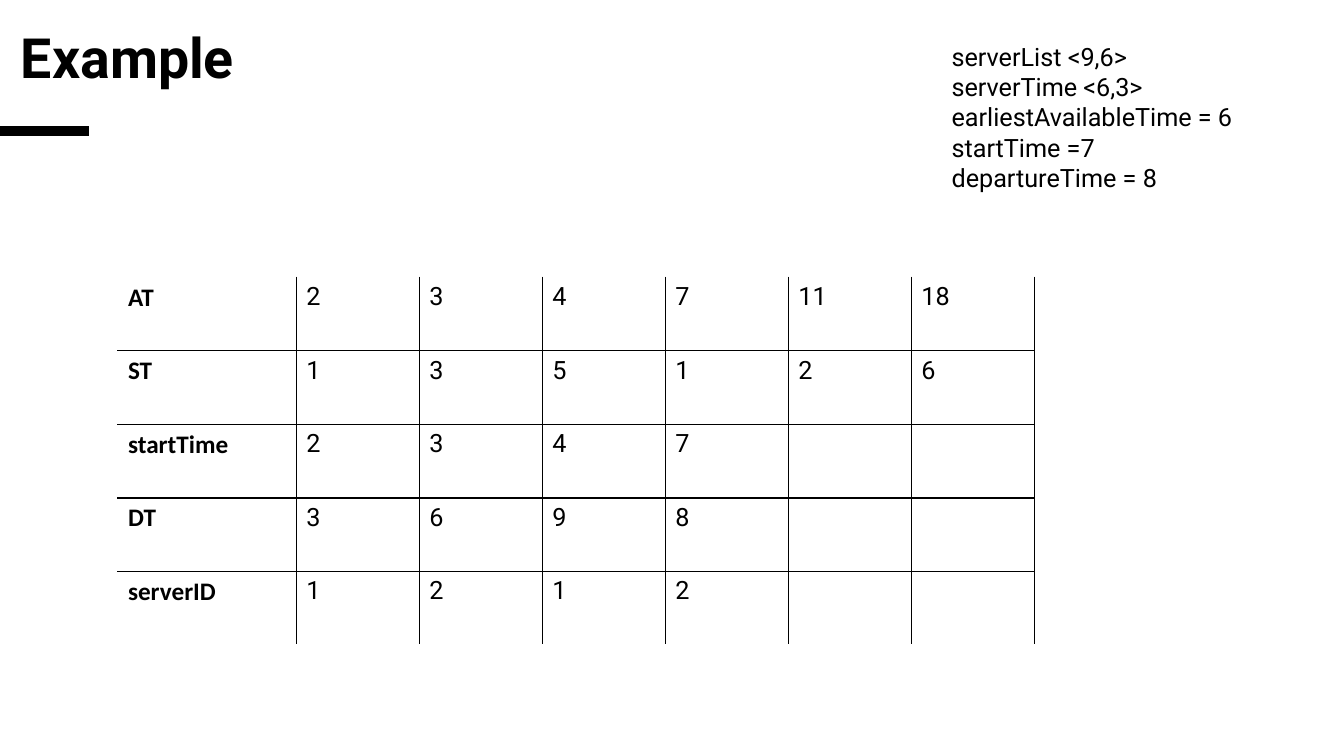
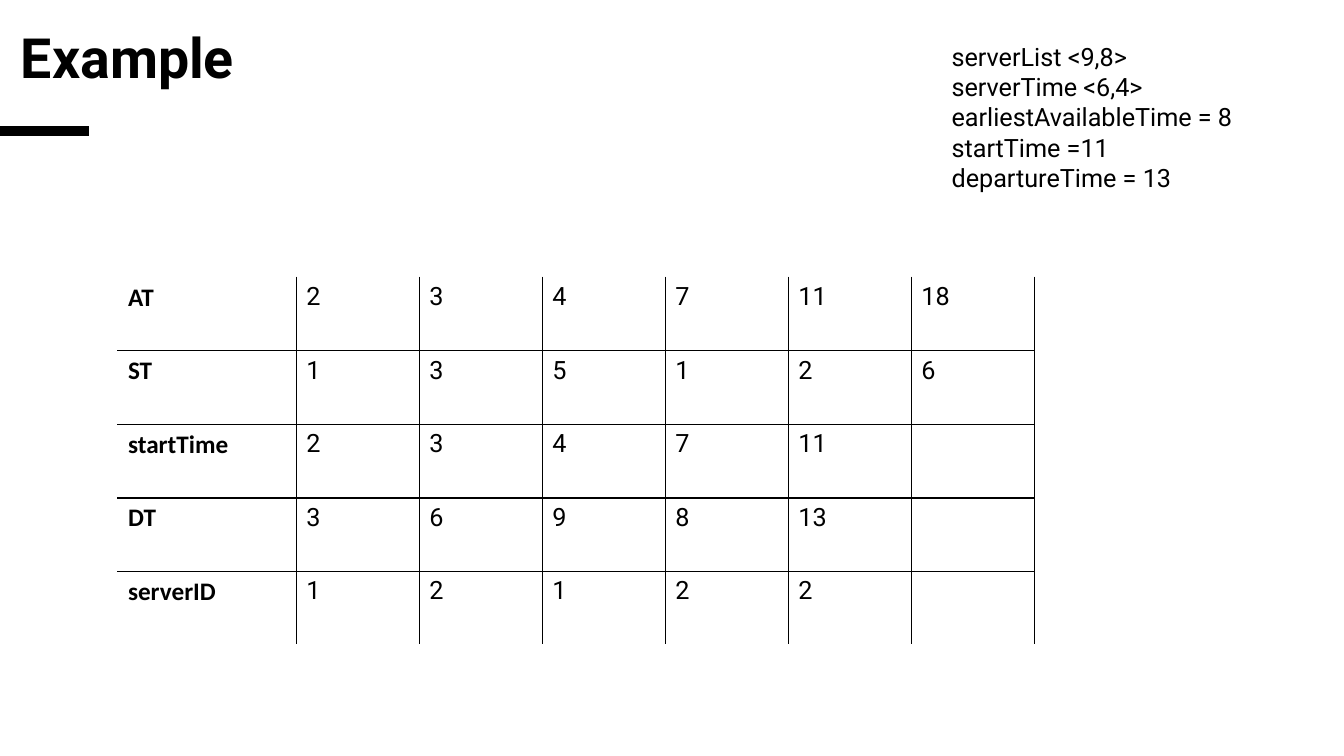
from dataclasses import dataclass

from lxml.etree import SubElement
from pptx import Presentation
from pptx.dml.color import RGBColor
from pptx.enum.shapes import MSO_CONNECTOR
from pptx.enum.text import MSO_ANCHOR, MSO_AUTO_SIZE
from pptx.oxml.ns import qn
from pptx.util import Inches, Pt

COLORS = {"ink": "000000", "paper": "FFFFFF"}
BODY_FONT = "Roboto"
LABEL_FONT = "Calibri"
BODY_SIZE = 18
TITLE_SIZE = 39.6

LABEL_WIDTH = 1.77
VALUE_WIDTH = 1.22
ROW_HEIGHT = 0.73
CUSTOMERS = 6


@dataclass(frozen=True)
class Step:
    state: tuple[str, ...]
    start_times: tuple[int, ...]
    departures: tuple[int, ...]
    server_ids: tuple[int, ...]


ARRIVALS = (2, 3, 4, 7, 11, 18)
SERVICE_TIMES = (1, 3, 5, 1, 2, 6)

STEPS = (
    Step(
        ("serverList <9,6>", "serverTime <6,3>", "earliestAvailableTime = 6",
         "startTime =7", "departureTime = 8"),
        (2, 3, 4, 7), (3, 6, 9, 8), (1, 2, 1, 2),
    ),
    Step(
        ("serverList <9,8>", "serverTime <6,4>", "earliestAvailableTime = 8",
         "startTime =11", "departureTime = 13"),
        (2, 3, 4, 7, 11), (3, 6, 9, 8, 13), (1, 2, 1, 2, 2),
    ),
)


def color(name: str) -> RGBColor:
    return RGBColor.from_string(COLORS[name])


def add_run(paragraph, text: str, size: float = BODY_SIZE,
            font: str = BODY_FONT, bold: bool = False) -> None:
    run = paragraph.add_run()
    run.text = text
    run.font.size = Pt(size)
    run.font.name = font
    run.font.bold = bold
    run.font.color.rgb = color("ink")


def add_title(slide, text: str) -> None:
    title = slide.shapes.add_textbox(
        Inches(0.11), Inches(0.23), Inches(10.85), Inches(0.71))
    frame = title.text_frame
    frame.word_wrap = True
    frame.vertical_anchor = MSO_ANCHOR.BOTTOM
    heading = frame.paragraphs[0]
    heading.line_spacing = 0.85
    add_run(heading, text, TITLE_SIZE, bold=True)


def add_accent(slide) -> None:
    accent = slide.shapes.add_connector(
        MSO_CONNECTOR.STRAIGHT, Inches(0), Inches(1.3), Inches(0.88), Inches(1.3))
    accent.line.color.rgb = color("ink")
    accent.line.width = Pt(6.75)
    SubElement(accent._element.spPr, qn("a:effectLst"))


def add_state(slide, lines: tuple[str, ...]) -> None:
    state = slide.shapes.add_textbox(
        Inches(9.34), Inches(0.36), Inches(3.24), Inches(1.62))
    frame = state.text_frame
    frame.word_wrap = True
    frame.auto_size = MSO_AUTO_SIZE.SHAPE_TO_FIT_TEXT
    for index, line in enumerate(lines):
        paragraph = frame.add_paragraph() if index else frame.paragraphs[0]
        add_run(paragraph, line)


def set_borders(cell, edges: dict[str, str]) -> None:
    properties = cell._tc.get_or_add_tcPr()
    for position, (tag, name) in enumerate(edges.items()):
        border = SubElement(properties, qn(f"a:{tag}"), w=str(Pt(1)))
        fill = SubElement(border, qn("a:solidFill"))
        SubElement(fill, qn("a:srgbClr"), val=COLORS[name])
        properties.remove(border)
        properties.insert(position, border)


def add_schedule(slide, step: Step) -> None:
    rows = (
        ("AT", ARRIVALS),
        ("ST", SERVICE_TIMES),
        ("startTime", step.start_times),
        ("DT", step.departures),
        ("serverID", step.server_ids),
    )
    schedule = slide.shapes.add_table(
        len(rows), CUSTOMERS + 1, Inches(1.17), Inches(2.75),
        Inches(LABEL_WIDTH + CUSTOMERS * VALUE_WIDTH),
        Inches(len(rows) * ROW_HEIGHT)).table
    schedule.first_row = False
    schedule.horz_banding = False
    for column_index, column in enumerate(schedule.columns):
        column.width = Inches(VALUE_WIDTH if column_index else LABEL_WIDTH)

    last = len(rows) - 1
    for row_index, (label, values) in enumerate(rows):
        schedule.rows[row_index].height = Inches(ROW_HEIGHT)
        texts = [label, *map(str, values)]
        for column_index in range(CUSTOMERS + 1):
            cell = schedule.cell(row_index, column_index)
            cell.fill.background()
            set_borders(cell, {
                "lnL": "ink" if column_index else "paper",
                "lnR": "ink",
                "lnT": "ink" if row_index else "paper",
                "lnB": "ink" if row_index < last else "paper",
            })
            paragraph = cell.text_frame.paragraphs[0]
            if column_index == 0:
                add_run(paragraph, label, font=LABEL_FONT, bold=True)
            elif column_index < len(texts):
                add_run(paragraph, texts[column_index])
            else:
                paragraph.font.size = Pt(BODY_SIZE)


def main() -> None:
    deck = Presentation()
    deck.slide_width = Inches(13.33)
    deck.slide_height = Inches(7.5)
    for step in STEPS:
        slide = deck.slides.add_slide(deck.slide_layouts[6])
        add_accent(slide)
        add_title(slide, "Example")
        add_state(slide, step.state)
        add_schedule(slide, step)
    deck.save("out.pptx")


if __name__ == "__main__":
    main()
